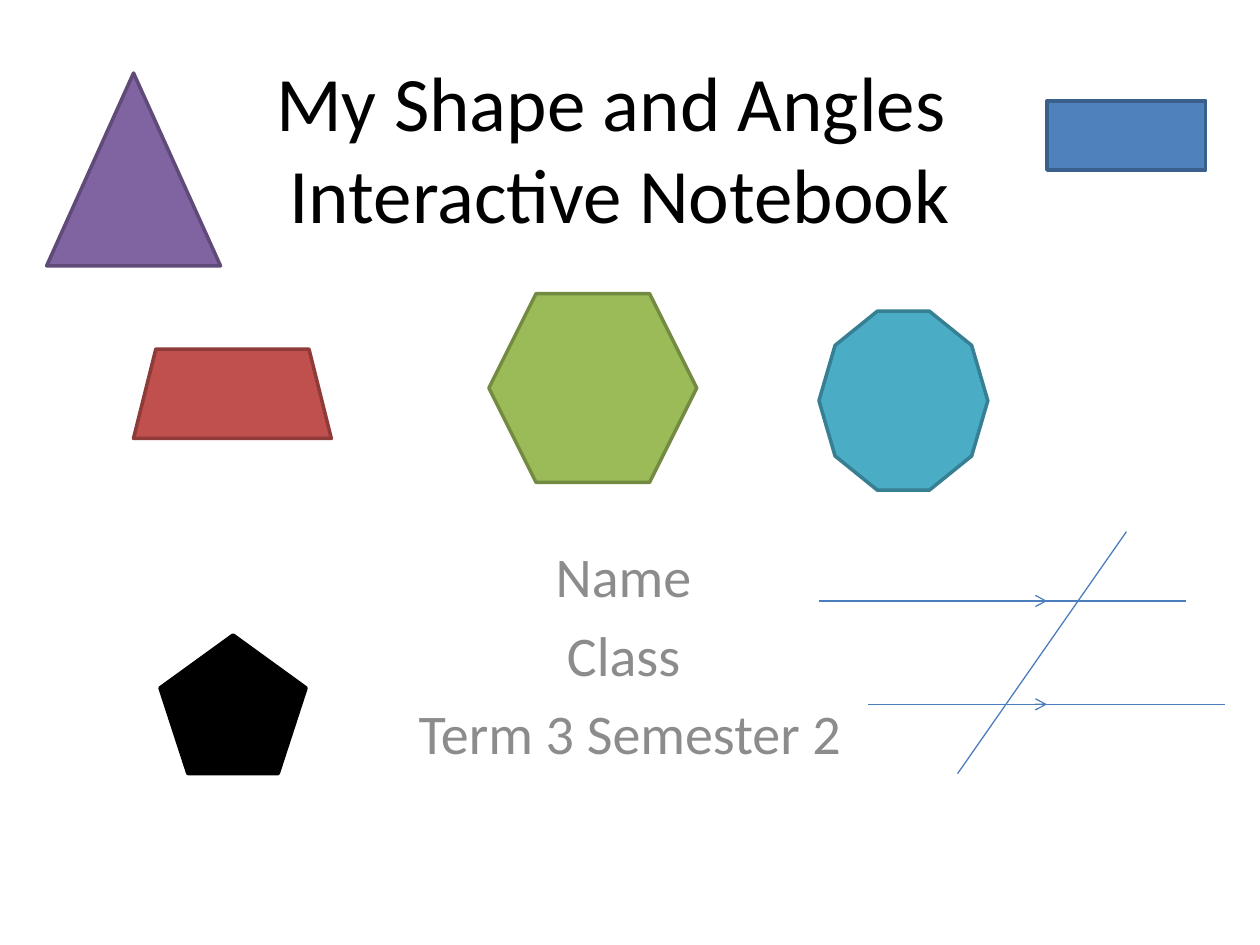
from typing import NamedTuple

from lxml import etree
from pptx import Presentation
from pptx import util as u
from pptx.dml.color import RGBColor
from pptx.enum import shapes, text
from pptx.oxml import ns

COLUMNS, ROWS = 100, 75
CELL = u.Inches(0.1)

BLACK = RGBColor(0x00, 0x00, 0x00)
GREY = RGBColor(0x8C, 0x8C, 0x8C)
LINE_BLUE = RGBColor(0x4B, 0x7E, 0xBC)
PURPLE, DARK_PURPLE = RGBColor(0x80, 0x64, 0xA2), RGBColor(0x5F, 0x4A, 0x78)
RED, DARK_RED = RGBColor(0xC0, 0x50, 0x4D), RGBColor(0x8E, 0x3B, 0x39)
GREEN, DARK_GREEN = RGBColor(0x9B, 0xBB, 0x59), RGBColor(0x73, 0x8A, 0x42)
TEAL, DARK_TEAL = RGBColor(0x4B, 0xAC, 0xC6), RGBColor(0x37, 0x7F, 0x92)
BLUE, DARK_BLUE = RGBColor(0x4F, 0x81, 0xBD), RGBColor(0x3A, 0x5F, 0x8C)


class Area(NamedTuple):
    column: float
    row: float
    columns: float
    rows: float


class Polygon(NamedTuple):
    kind: shapes.MSO_SHAPE
    area: Area
    fill: RGBColor
    outline: RGBColor


class Segment(NamedTuple):
    start: tuple[float, float]
    end: tuple[float, float]
    arrow: bool = False


KIND = shapes.MSO_SHAPE
POLYGONS = [
    Polygon(KIND.ISOSCELES_TRIANGLE, Area(3.7, 5.8, 13.8, 15.3), PURPLE, DARK_PURPLE),
    Polygon(KIND.TRAPEZOID, Area(10.6, 27.7, 15.7, 7.1), RED, DARK_RED),
    Polygon(KIND.HEXAGON, Area(38.8, 23.3, 16.5, 15), GREEN, DARK_GREEN),
    Polygon(KIND.DECAGON, Area(65, 24.7, 13.4, 14.2), TEAL, DARK_TEAL),
    Polygon(KIND.RECTANGLE, Area(83.1, 8, 12.6, 5.5), BLUE, DARK_BLUE),
    Polygon(KIND.REGULAR_PENTAGON, Area(12.7, 50.4, 11.6, 11), BLACK, BLACK),
]

UPPER_ROW, LOWER_ROW, ARROW_COLUMN = 47.7, 55.9, 83.1
SEGMENTS = [
    Segment((67.3, UPPER_ROW), (ARROW_COLUMN, UPPER_ROW), arrow=True),
    Segment((65, UPPER_ROW), (94.1, UPPER_ROW)),
    Segment((68.9, LOWER_ROW), (97.2, LOWER_ROW)),
    Segment((68.9, LOWER_ROW), (ARROW_COLUMN, LOWER_ROW), arrow=True),
    Segment((89.4, 42.2), (76, 61.4)),
]


def cells(*counts: float) -> list[int]:
    return [round(count * CELL) for count in counts]


def draw_polygon(page, polygon: Polygon) -> None:
    shape = page.shapes.add_shape(polygon.kind, *cells(*polygon.area))
    shape.shadow.inherit = False
    shape.fill.solid()
    shape.fill.fore_color.rgb = polygon.fill
    shape.line.color.rgb = polygon.outline
    shape.line.width = u.Pt(2)


def draw_segment(page, segment: Segment) -> None:
    connector = page.shapes.add_connector(
        shapes.MSO_CONNECTOR.STRAIGHT, *cells(*segment.start, *segment.end))
    connector.line.color.rgb = LINE_BLUE
    connector.line.width = u.Pt(0.75)
    if segment.arrow:
        outline = connector.line._get_or_add_ln()
        etree.SubElement(outline, ns.qn("a:tailEnd"), type="arrow")
    etree.SubElement(connector._element.spPr, ns.qn("a:effectLst"))


def draw_text(page, area: Area, paragraphs: list[list[str]], size: float,
              color: RGBColor, anchor: text.MSO_ANCHOR) -> None:
    """Draw centred paragraphs, each given as its lines."""
    box = page.shapes.add_textbox(*cells(*area))
    frame = box.text_frame
    frame.word_wrap = True
    frame.vertical_anchor = anchor
    for index, lines in enumerate(paragraphs):
        para = frame.add_paragraph() if index else frame.paragraphs[0]
        para.alignment = text.PP_ALIGN.CENTER
        para.space_before = u.Pt(0.2 * size if index else 0)
        for number, line in enumerate(lines):
            if number:
                para.add_line_break()
            span = para.add_run()
            span.text = line
            span.font.name = "Calibri"
            span.font.size = u.Pt(size)
            span.font.color.rgb = color


def main() -> None:
    deck = Presentation()
    deck.slide_width, deck.slide_height = cells(COLUMNS, ROWS)
    page = deck.slides.add_slide(deck.slide_layouts[6])
    draw_text(page, Area(6.7, 3.6, 85, 16.1),
              [["My Shape and Angles ", "Interactive Notebook"]],
              44, BLACK, text.MSO_ANCHOR.MIDDLE)
    draw_text(page, Area(15, 42.5, 70, 19.2),
              [["Name "], ["Class "], ["Term 3 Semester 2"]],
              32, GREY, text.MSO_ANCHOR.TOP)
    for polygon in POLYGONS:
        draw_polygon(page, polygon)
    for segment in SEGMENTS:
        draw_segment(page, segment)
    deck.save("out.pptx")


if __name__ == "__main__":
    main()
